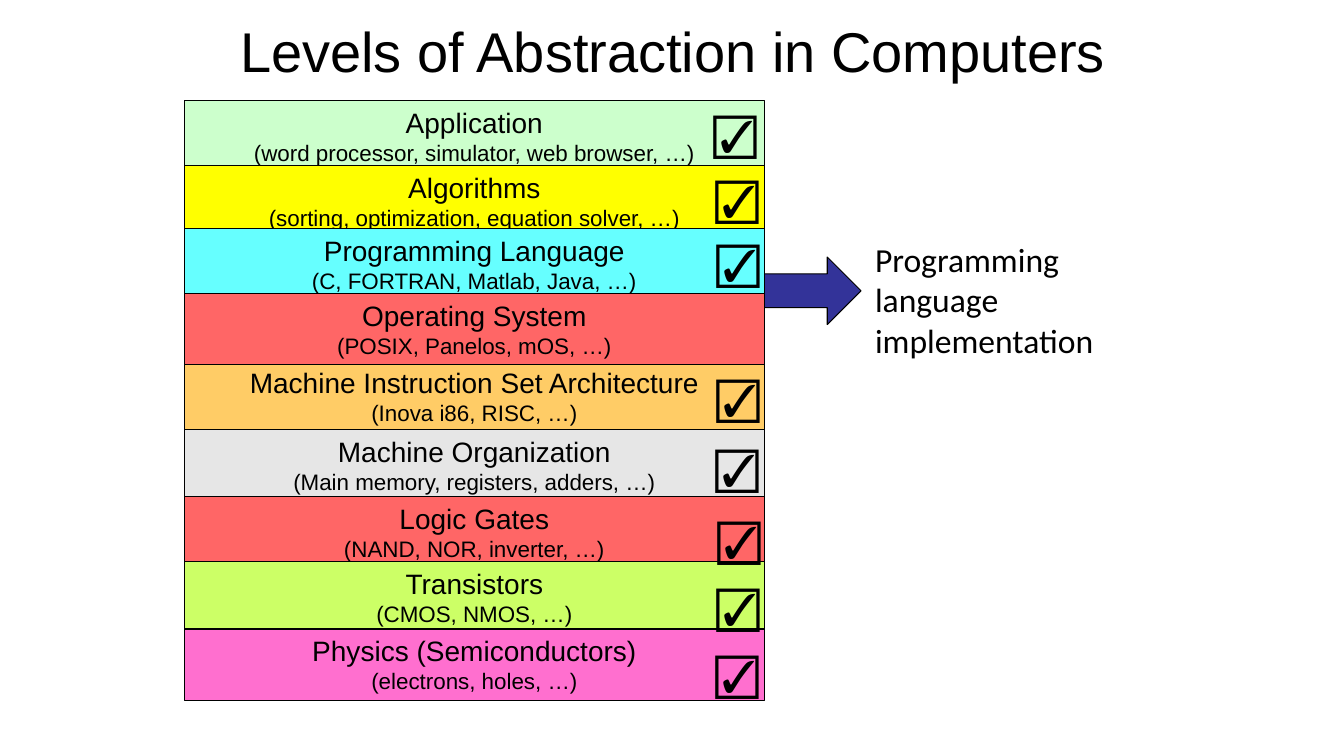
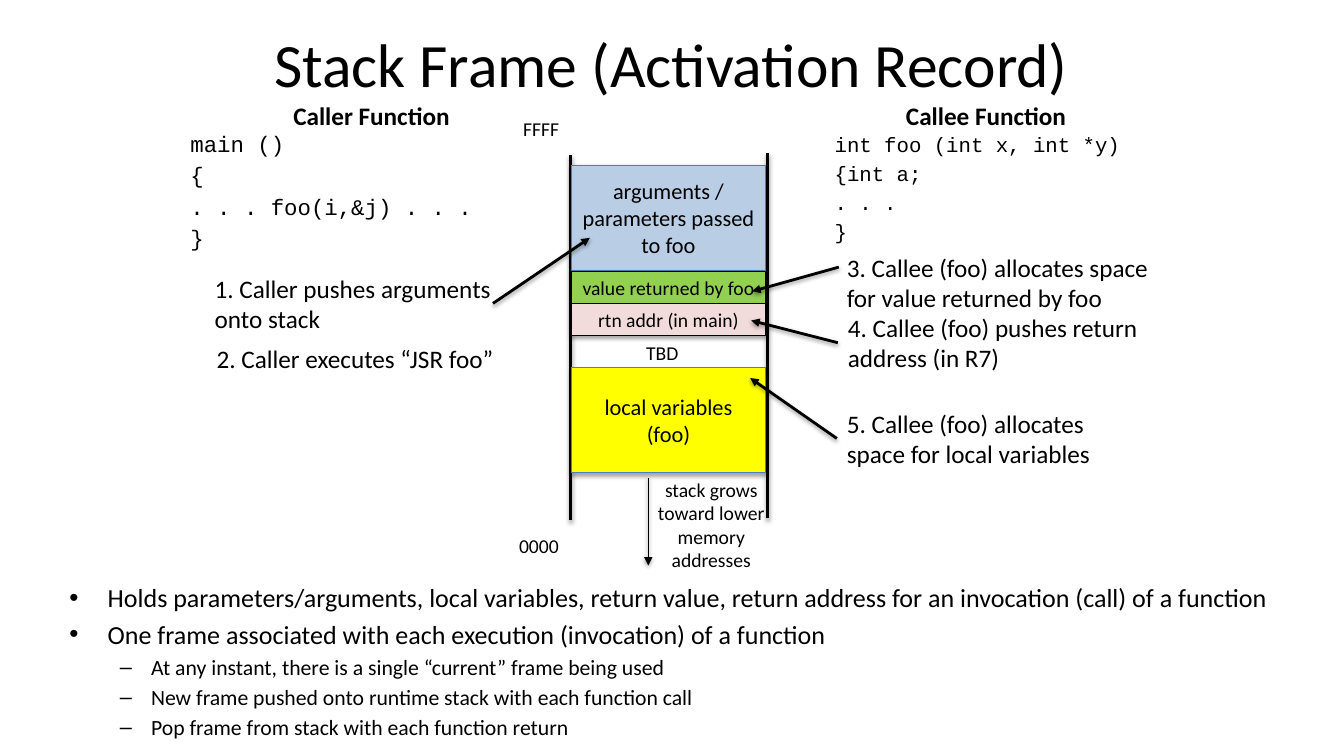
from lxml.etree import SubElement
from pptx import Presentation
from pptx.dml.color import RGBColor
from pptx.enum.shapes import MSO_CONNECTOR as Connector, MSO_SHAPE as Shape
from pptx.enum.text import MSO_ANCHOR as Anchor, PP_ALIGN as Align
from pptx.oxml.ns import qn
from pptx.util import Inches, Pt

BLACK = "000000"
SANS, BODY, CODE = "Arial", "Calibri", "Courier New"


def color(value):
    return RGBColor.from_string(value)


def child(parent, tag, **attributes):
    return SubElement(parent, qn(tag), {key: str(value) for key, value in attributes.items()})


class Painter:
    def __init__(self):
        self.deck = Presentation()
        self.deck.slide_width = Inches(13.33)
        self.deck.slide_height = Inches(7.5)
        self.page = None

    def new_page(self, title, area, size, font):
        self.page = self.deck.slides.add_slide(self.deck.slide_layouts[6])
        self.text(area, [title], size, font, align=Align.CENTER, anchor=Anchor.MIDDLE)

    def fill_text(self, frame, lines, size, font=BODY, align=Align.LEFT,
                  anchor=Anchor.TOP, bold=False, wrap=True, spaced=False):
        frame.word_wrap = wrap
        frame.vertical_anchor = anchor
        for index, line in enumerate(lines):
            words, line_size = line if isinstance(line, tuple) else (line, size)
            para = frame.paragraphs[0] if index == 0 else frame.add_paragraph()
            para.alignment = align
            if spaced:
                before = child(para._p.get_or_add_pPr(), "a:spcBef")
                child(before, "a:spcPct", val=20000)
            span = para.add_run()
            span.text = words
            span.font.size = Pt(line_size)
            span.font.name = font
            span.font.bold = bold
            span.font.color.rgb = color(BLACK)

    def text(self, area, lines, size, font=BODY, **style):
        box = self.page.shapes.add_textbox(*map(Inches, area))
        self.fill_text(box.text_frame, lines, size, font, **style)
        return box

    def bullets(self, area, items, sizes):
        lines = [(words, sizes[level]) for level, words in items]
        box = self.text(area, lines, sizes[0], spaced=True)
        marks = [("•", 0.38, -0.38), ("–", 0.81, -0.31)]
        for para, (level, _) in zip(box.text_frame.paragraphs, items):
            mark, margin, indent = marks[level]
            para.level = level
            properties = para._p.get_or_add_pPr()
            properties.set("marL", str(Inches(margin)))
            properties.set("indent", str(Inches(indent)))
            child(properties, "a:buFont", typeface=SANS)
            child(properties, "a:buChar", char=mark)

    def effects(self, item, opacity=0, distance=0):
        effects = child(item._element.spPr, "a:effectLst")
        if opacity:
            shadow = child(effects, "a:outerShdw", blurRad=Pt(3.1), dist=Pt(distance),
                           dir=5400000, rotWithShape=0)
            child(child(shadow, "a:srgbClr", val=BLACK), "a:alpha", val=opacity * 1000)

    def block(self, area, fill, lines=(), size=16, kind=Shape.RECTANGLE,
              outline=BLACK, shadowed=False, **style):
        box = self.page.shapes.add_shape(kind, *map(Inches, area))
        box.fill.solid()
        box.fill.fore_color.rgb = color(fill)
        box.line.color.rgb = color(outline)
        box.line.width = Pt(0.75)
        self.effects(box, 35 if shadowed else 0, 1.8)
        self.fill_text(box.text_frame, lines, size, align=Align.CENTER, **style)

    def line(self, start, end, width=2, arrow=True):
        points = map(Inches, (*start, *end))
        connector = self.page.shapes.add_connector(Connector.STRAIGHT, *points)
        connector.line.color.rgb = color(BLACK)
        connector.line.width = Pt(width)
        if arrow:
            child(connector._element.spPr.find(qn("a:ln")), "a:tailEnd", type="triangle")
        self.effects(connector, 38, 1.6)


def abstraction_levels(painter):
    painter.new_page("Levels of Abstraction in Computers", (1.67, 0, 10, 1), 40, SANS)
    painter.block((7.46, 2.55, 1.08, 0.67), "333399", kind=Shape.RIGHT_ARROW)
    painter.text((8.58, 2.32, 3.08, 1.31), ["Programming language implementation"], 24)

    levels = [
        (1, "CCFFCC", "Application", "(word processor, simulator, web browser, …)"),
        (1.64, "FFFF00", "Algorithms", "(sorting, optimization, equation solver, …)"),
        (2.27, "66FFFF", "Programming Language", "(C, FORTRAN, Matlab, Java, …)"),
        (3.58, "FFCC66", "Machine Instruction Set Architecture", "(Inova i86, RISC, …)"),
        (4.26, "E6E6E6", "Machine Organization", "(Main memory, registers, adders, …)"),
        (4.93, "FF6666", "Logic Gates", "(NAND, NOR, inverter, …)"),
        (5.57, "CCFF66", "Transistors", "(CMOS, NMOS, …)"),
        (6.24, "FF6FCF", "Physics (Semiconductors)", "(electrons, holes, …)"),
        (2.91, "FF6666", "Operating System", "(POSIX, Panelos, mOS, …)"),
    ]
    for top, fill, name, examples in levels:
        painter.block((1.83, top, 5.75, 0.71), fill, [(name, 20), (examples, 16)], font=SANS)

    checks = [(6.97, 1), (6.99, 1.64), (7, 2.28), (7, 3.62),
              (6.99, 4.31), (7.01, 5.03), (7, 5.69), (6.99, 6.36)]
    for left, top in checks:
        painter.text((left, top, 0.6, 0.64), ["☑"], 32, SANS)


def stack_frame(painter):
    painter.new_page("Stack Frame (Activation Record)", (2.16, 0, 9, 1.25), 44, BODY)
    painter.bullets((0.59, 5.72, 12.39, 1.81), [
        (0, "Holds parameters/arguments, local variables, return value, "
            "return address for an invocation (call) of a function"),
        (0, "One frame associated with each execution (invocation) of a function"),
        (1, "At any instant, there is a single “current” frame being used"),
        (1, "New frame pushed onto runtime stack with each function call"),
        (1, "Pop frame from stack with each function return"),
    ], (18.6, 15.5))

    for left, top in [(5.66, 1.54), (7.61, 1.52)]:
        painter.line((left, top), (left, top + 3.62), arrow=False)
    painter.line((6.43, 4.74), (6.43, 5.61), width=1)
    painter.text((6.42, 4.69, 1.27, 1.04),
                 ["stack grows", "toward lower", "memory", "addresses"], 14,
                 align=Align.CENTER, wrap=False)

    blue = "4B7EBC"
    cells = [
        (1.64, 1.04, "B9CDE5", blue, "arguments / parameters passed to foo", 16),
        (3.65, 1.04, "FFFF00", blue, "local variables (foo)", 16),
        (2.69, 0.32, "92D050", BLACK, "value returned by foo", 14),
        (3.01, 0.32, "F2DCDB", BLACK, "rtn addr (in main)", 14),
    ]
    for top, height, fill, outline, label, size in cells:
        painter.block((5.67, top, 1.92, height), fill, [label], size, outline=outline,
                      shadowed=True, anchor=Anchor.MIDDLE)

    for area, label in [((2.8, 0.95, 1.77, 0.4), "Caller Function"),
                        ((8.88, 0.95, 1.8, 0.4), "Callee Function")]:
        painter.text(area, [label], 18, align=Align.CENTER, bold=True, wrap=False)

    listings = [
        ((1.79, 1.24, 3.42, 1.51), 16, ["main ()", "{", ". . . foo(i,&j) . . .", "}"]),
        ((8.18, 1.26, 3.16, 1.38), 14.8, ["int foo (int x, int *y)", "{int a;", ". . .", "}"]),
    ]
    for area, size, code in listings:
        painter.text(area, code, size, CODE, spaced=True)

    steps = [
        ((2.03, 2.66, 3.08, 0.71), "1. Caller pushes arguments onto stack"),
        ((2.05, 3.36, 3.08, 0.4), "2. Caller executes “JSR foo”"),
        ((8.3, 2.45, 3.28, 0.71), "3. Callee (foo) allocates space for value returned by foo"),
        ((8.31, 3.05, 3.08, 0.71), "4. Callee (foo) pushes return address (in R7)"),
        ((8.3, 4, 3.08, 0.71), "5. Callee (foo) allocates space for local variables"),
    ]
    for area, step in steps:
        painter.text(area, [step], 18)

    arrows = [((4.89, 3.01), (5.85, 2.36)), ((8.32, 2.65), (7.46, 2.89)),
              ((8.31, 3.4), (7.45, 3.18)), ((8.3, 4.35), (7.44, 3.75))]
    for start, end in arrows:
        painter.line(start, end)

    for area, label in [((6.31, 3.33, 0.53, 0.34), "TBD"),
                        ((5.05, 5.25, 0.6, 0.34), "0000"),
                        ((5.09, 1.11, 0.56, 0.34), "FFFF")]:
        painter.text(area, [label], 14, wrap=False)


def main():
    painter = Painter()
    abstraction_levels(painter)
    stack_frame(painter)
    painter.deck.save("out.pptx")


if __name__ == "__main__":
    main()
